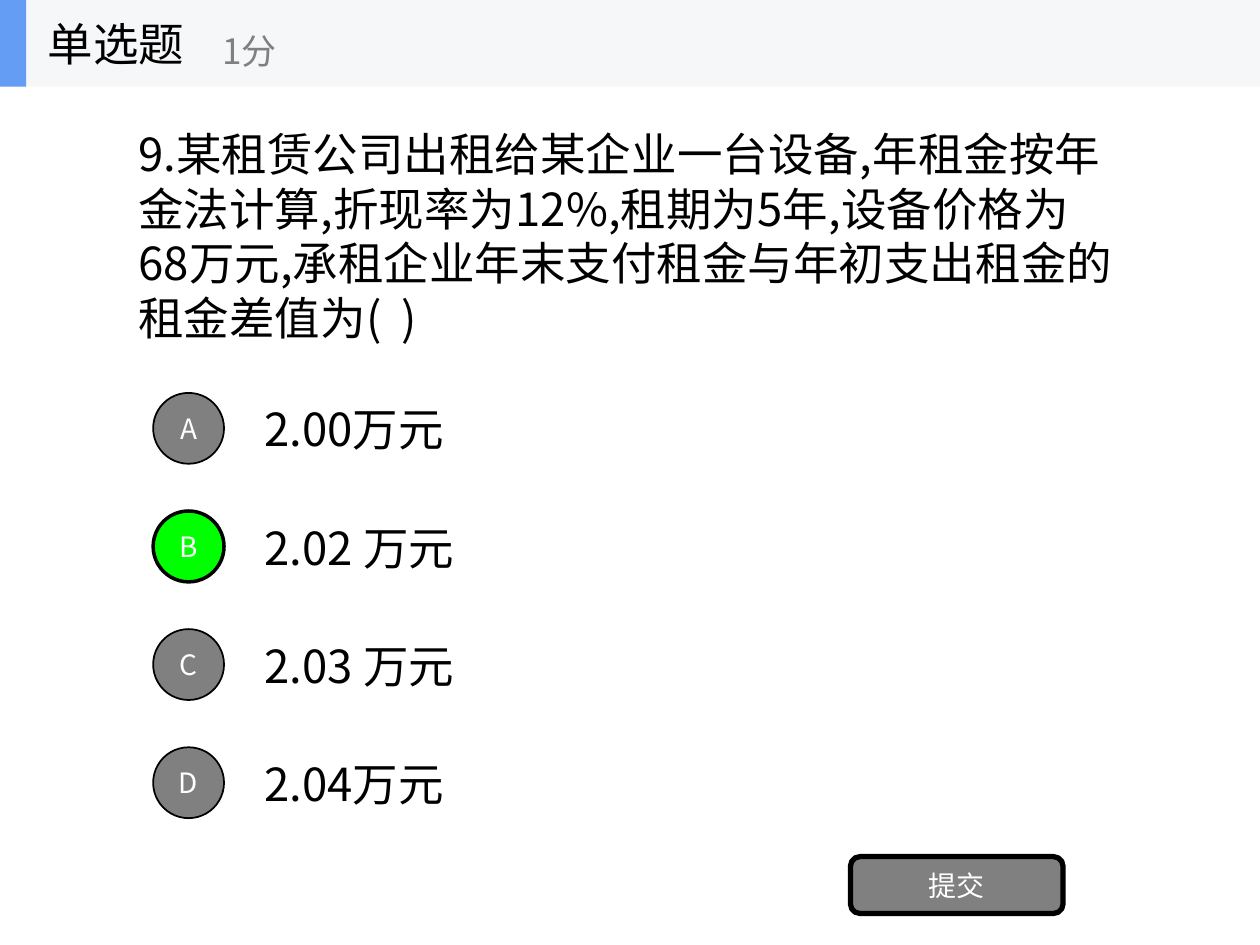
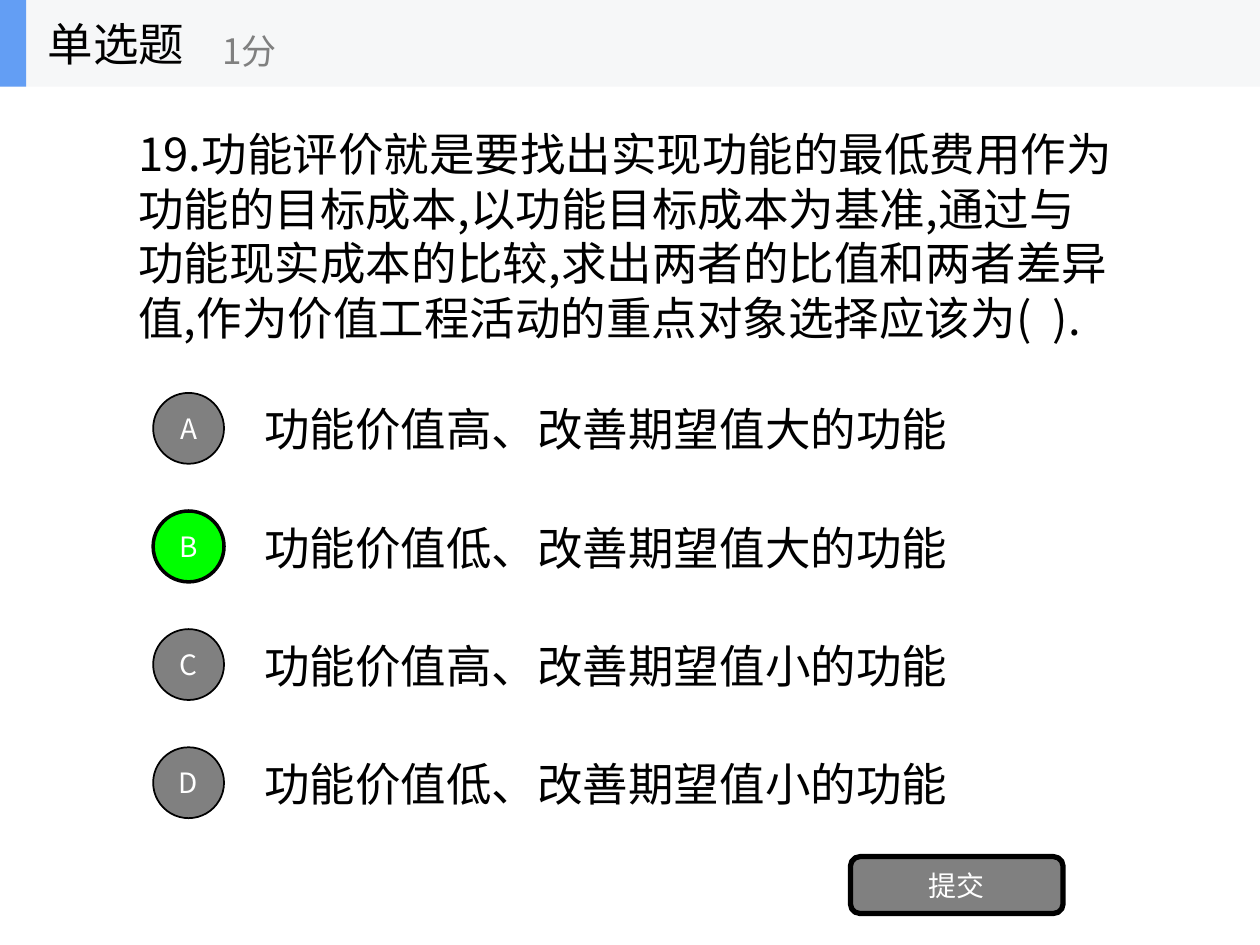
from dataclasses import dataclass

from lxml.etree import SubElement
from pptx import Presentation
from pptx.dml.color import RGBColor
from pptx.enum.shapes import MSO_SHAPE
from pptx.enum.text import MSO_ANCHOR, MSO_AUTO_SIZE, PP_ALIGN
from pptx.oxml.ns import qn
from pptx.util import Pt


@dataclass(frozen=True)
class Theme:
    font: str = "Noto Sans CJK SC"
    ink: str = "000000"
    grey: str = "808080"
    correct: str = "00FF00"
    white: str = "FFFFFF"
    band: str = "F6F7F8"
    accent: str = "639EF4"
    text_size: int = 26
    score_size: int = 20
    label_size: int = 16


WIDTH, HEIGHT = 720, 540
BAND_H = 49.5
QUESTION_MIDDLE = 134.5
OPTION_TOP, OPTION_PITCH = 224.5, 67.5
MARKER_SIZE = 40.5

QUESTIONS = [
    {
        "text": "9.某租赁公司出租给某企业一台设备,年租金按年金法计算,折现率为12%,租期为5年,"
                "设备价格为68万元,承租企业年末支付租金与年初支出租金的租金差值为(  )",
        "height": 132.5,
        "options": [("2.00万元", 126), ("2.02 万元", 134),
                    ("2.03 万元", 134), ("2.04万元", 126)],
        "answer": "B",
    },
    {
        "text": "19.功能评价就是要找出实现功能的最低费用作为功能的目标成本,以功能目标成本为基准,"
                "通过与功能现实成本的比较,求出两者的比值和两者差异值,"
                "作为价值工程活动的重点对象选择应该为(  ).",
        "height": 163.5,
        "options": [(f"功能价值{value}、改善期望值{gain}的功能", 412)
                    for gain in "大小" for value in "高低"],
        "answer": "B",
    },
]


class QuizDeck:
    """Holds the theme, the presentation and the slide being built."""

    def __init__(self, theme):
        self.theme = theme
        self.prs = Presentation()
        self.prs.slide_width, self.prs.slide_height = Pt(WIDTH), Pt(HEIGHT)
        self.s = None

    def fill_text(self, sp, text, size, color, align=PP_ALIGN.LEFT, fit=MSO_AUTO_SIZE.NONE):
        tf = sp.text_frame
        tf.word_wrap = True
        tf.auto_size = fit
        tf.vertical_anchor = MSO_ANCHOR.MIDDLE
        p = tf.paragraphs[0]
        p.alignment = align
        r = p.add_run()
        r.text = text
        r.font.size = Pt(size)
        r.font.color.rgb = RGBColor.from_string(color)
        r.font.name = self.theme.font
        SubElement(r.font._element, qn("a:ea")).set("typeface", self.theme.font)

    def shape(self, kind, left, top, width, height, fill, line=0):
        sp = self.s.shapes.add_shape(kind, Pt(left), Pt(top), Pt(width), Pt(height))
        sp.shadow.inherit = False
        sp.fill.solid()
        sp.fill.fore_color.rgb = RGBColor.from_string(fill)
        if line:
            sp.line.color.rgb = RGBColor.from_string(self.theme.ink)
            sp.line.width = Pt(line)
        else:
            sp.line.fill.background()
        return sp

    def text(self, text, left, top, width, height, size, color, fit=MSO_AUTO_SIZE.NONE):
        sp = self.s.shapes.add_textbox(Pt(left), Pt(top), Pt(width), Pt(height))
        self.fill_text(sp, text, size, color, fit=fit)

    def label(self, sp, text):
        self.fill_text(sp, text, self.theme.label_size, self.theme.white, PP_ALIGN.CENTER)

    def header(self, title, score):
        t = self.theme
        self.shape(MSO_SHAPE.RECTANGLE, 0, 0, WIDTH, BAND_H, t.band)
        self.shape(MSO_SHAPE.RECTANGLE, 0, 0, 15, BAND_H, t.accent)
        sp = self.s.shapes.title
        sp.left, sp.top, sp.width, sp.height = Pt(20), Pt(0), Pt(150), Pt(BAND_H)
        self.fill_text(sp, title, t.text_size, t.ink)
        self.s.shapes.element.append(sp.element)  # bring the title in front of the band
        self.text(score, 120, 8.5, 180, 40.5, t.score_size, t.grey)

    def option(self, index, text, width, answer):
        t = self.theme
        letter = "ABCD"[index]
        top = OPTION_TOP + index * OPTION_PITCH
        fill, line = (t.correct, 2) if letter == answer else (t.grey, 1)
        self.text(text, 144, top + 1, width, 39, t.text_size, t.ink,
                  MSO_AUTO_SIZE.SHAPE_TO_FIT_TEXT)
        marker = self.shape(MSO_SHAPE.OVAL, 87.5, top, MARKER_SIZE, MARKER_SIZE, fill, line)
        self.label(marker, letter)

    def submit_button(self):
        button = self.shape(MSO_SHAPE.ROUNDED_RECTANGLE, 486, 489.5, 121.5, 32.5,
                            self.theme.grey, 3)
        self.label(button, "提交")

    def question(self, text, height, options, answer):
        t = self.theme
        self.s = self.prs.slides.add_slide(self.prs.slide_layouts.get_by_name("Title Only"))
        self.header("单选题", "1分")
        self.text(text, 72, QUESTION_MIDDLE - height / 2, 574, height, t.text_size, t.ink,
                  MSO_AUTO_SIZE.SHAPE_TO_FIT_TEXT)
        for index, (option, width) in enumerate(options):
            self.option(index, option, width, answer)
        self.submit_button()


def main():
    deck = QuizDeck(Theme())
    for question in QUESTIONS:
        deck.question(**question)
    deck.prs.save("out.pptx")


if __name__ == "__main__":
    main()
